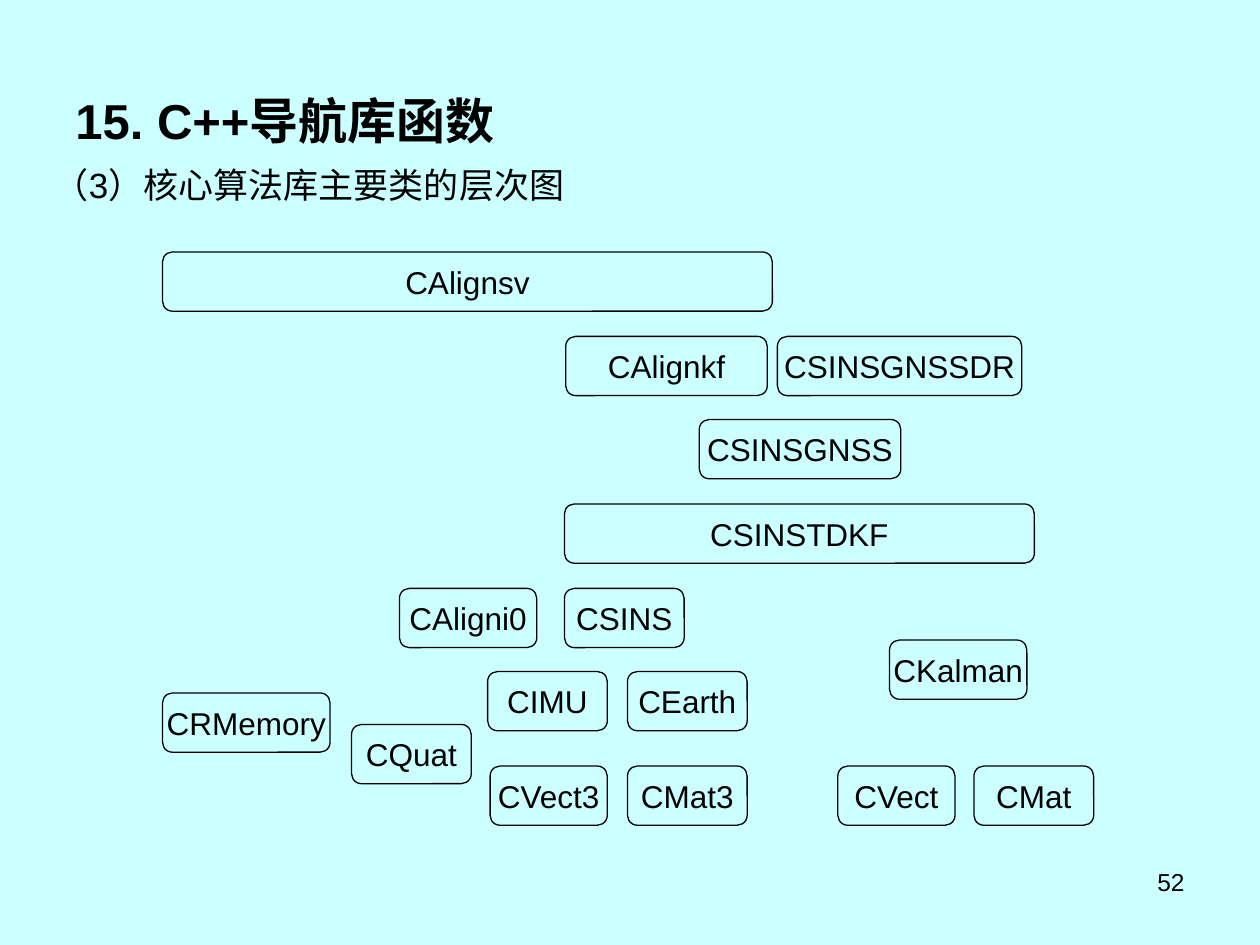
"""Build the class hierarchy slide of the C++ navigation library."""
from pptx import Presentation
from pptx.dml.color import RGBColor
from pptx.enum.shapes import MSO_SHAPE
from pptx.enum.text import MSO_ANCHOR, PP_ALIGN
from pptx.util import Inches, Pt

ROUND_RECT = MSO_SHAPE.ROUNDED_RECTANGLE
TOP, MIDDLE = MSO_ANCHOR.TOP, MSO_ANCHOR.MIDDLE
LEFT, CENTER, RIGHT = PP_ALIGN.LEFT, PP_ALIGN.CENTER, PP_ALIGN.RIGHT

COLORS = {"background": "CCFFFF", "ink": "000000"}
FONT = "Arial"
BOX_HEIGHT = 0.47

CLASS_ROWS = [
    (2, [("CAlignsv", 1.29, 4.84)]),
    (2.67, [("CAlignkf", 4.49, 1.6), ("CSINSGNSSDR", 6.17, 1.94)]),
    (3.33, [("CSINSGNSS", 5.55, 1.6)]),
    (4, [("CSINSTDKF", 4.48, 3.73)]),
    (4.67, [("CAligni0", 3.17, 1.09), ("CSINS", 4.48, 0.95)]),
    (5.08, [("CKalman", 7.06, 1.09)]),
    (5.33, [("CIMU", 3.87, 0.95), ("CEarth", 4.98, 0.95)]),
    (5.5, [("CRMemory", 1.29, 1.33)]),
    (5.75, [("CQuat", 2.79, 0.95)]),
    (6.08, [("CVect3", 3.89, 0.93), ("CMat3", 4.98, 0.95),
            ("CVect", 6.65, 0.93), ("CMat", 7.73, 0.95)]),
]


class SlideBuilder:
    """Hold the style and the current slide."""

    def __init__(self, slide):
        self.s = slide
        fill = slide.background.fill
        fill.solid()
        fill.fore_color.rgb = self.color("background")

    def color(self, name):
        return RGBColor.from_string(COLORS[name])

    def set_text(self, sp, text, size, align, anchor, wrap, bold=False):
        tf = sp.text_frame
        tf.word_wrap = wrap
        tf.vertical_anchor = anchor
        p = tf.paragraphs[0]
        p.alignment = align
        r = p.add_run()
        r.text = text
        r.font.name = FONT
        r.font.size = Pt(size)
        r.font.bold = bold
        r.font.color.rgb = self.color("ink")

    def text_box(self, text, x, y, w, h, size, align=LEFT, anchor=TOP, bold=False):
        sp = self.s.shapes.add_textbox(Inches(x), Inches(y), Inches(w), Inches(h))
        self.set_text(sp, text, size, align, anchor, True, bold)

    def class_box(self, name, x, y, w):
        sp = self.s.shapes.add_shape(
            ROUND_RECT, Inches(x), Inches(y), Inches(w), Inches(BOX_HEIGHT))
        sp.shadow.inherit = False
        sp.fill.background()
        sp.line.color.rgb = self.color("ink")
        sp.line.width = Pt(0.75)
        self.set_text(sp, name, 18, CENTER, MIDDLE, False)


def main():
    prs = Presentation()
    prs.slide_width, prs.slide_height = Inches(10), Inches(7.5)
    builder = SlideBuilder(prs.slides.add_slide(prs.slide_layouts[6]))
    builder.text_box("52", 7.17, 6.83, 2.33, 0.52, 14, align=RIGHT)
    builder.text_box("15. C++导航库函数", 0.5, 0.33, 9.41, 1.25, 28,
                     anchor=MIDDLE, bold=True)
    builder.text_box("（3）核心算法库主要类的层次图", 0.33, 1.25, 4.5, 0.44, 20)
    for y, boxes in CLASS_ROWS:
        for name, x, w in boxes:
            builder.class_box(name, x, y, w)
    prs.save("out.pptx")


if __name__ == "__main__":
    main()
